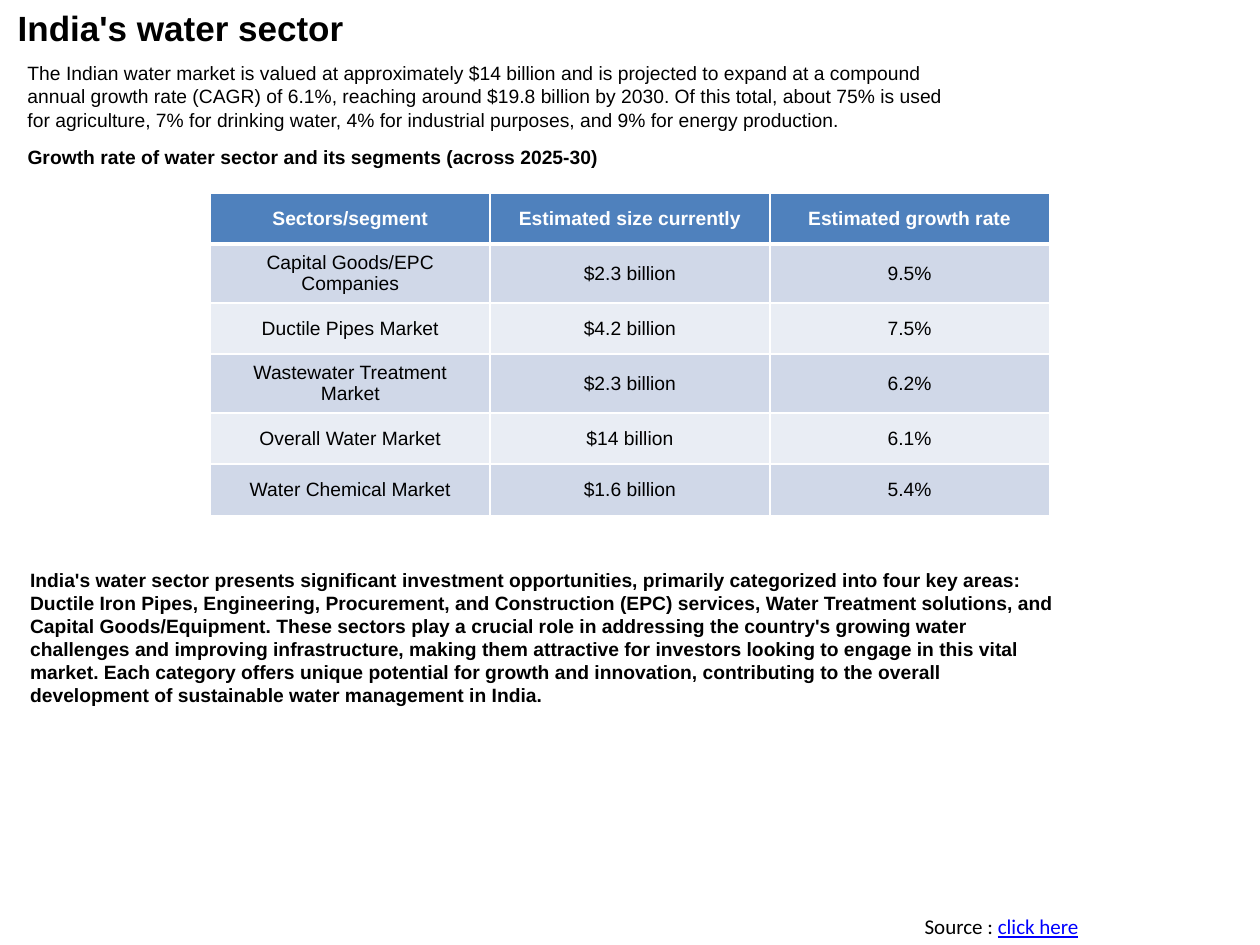
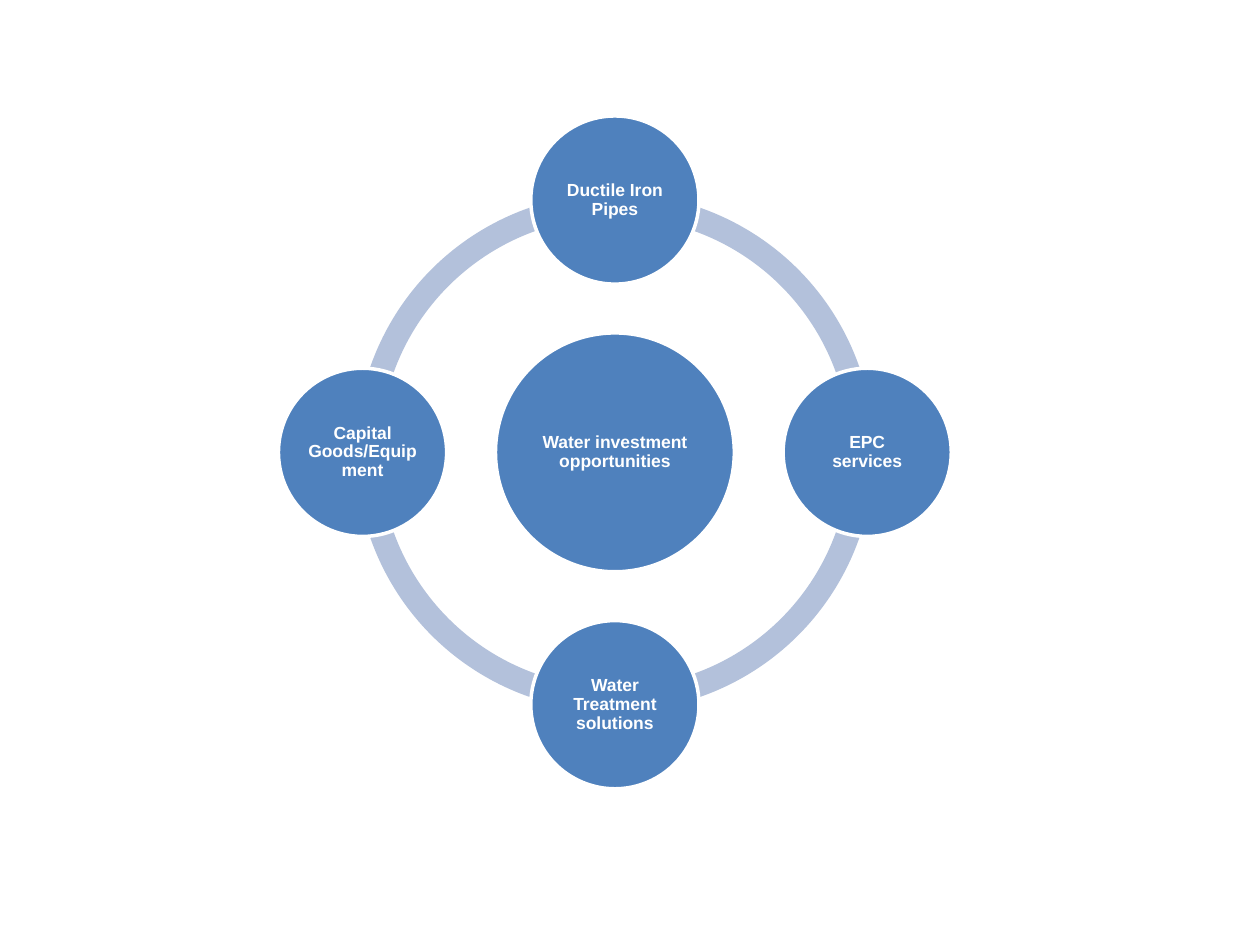
import math
from dataclasses import dataclass
from lxml import etree
from pptx import Presentation
from pptx import util as u
from pptx.dml import color
from pptx.enum import shapes, text
from pptx.oxml import ns

COLUMNS, ROWS = 100, 75
CELL = u.Inches(0.1)


@dataclass(frozen=True)
class Theme:
    ink: str = "000000"
    paper: str = "FFFFFF"
    accent: str = "4F81BD"
    ring: str = "B3C1DB"
    link: str = "0000FF"
    bands: tuple = ("D0D8E8", "E9EDF4")
    face: str = "Arial"
    source_face: str = "Calibri"
    title_size: int = 20
    body_size: int = 11
    source_size: int = 12
    node_size: int = 10


@dataclass(frozen=True)
class Box:
    left: float
    top: float
    width: float
    height: float

    def emu(self):
        return [round(side * CELL) for side in (self.left, self.top, self.width, self.height)]

    def around(self, across, down, size):
        x = self.left + self.width / 2 + across
        y = self.top + self.height / 2 + down
        return Box(x - size / 2, y - size / 2, size, size)


THEME = Theme()
TITLE = "India's water sector"
MARKET = (
    "The Indian water market is valued at approximately $14 billion and is projected to "
    "expand at a compound annual growth rate (CAGR) of 6.1%, reaching around $19.8 billion "
    "by 2030. Of this total, about 75% is used for agriculture, 7% for drinking water, "
    "4% for industrial purposes, and 9% for energy production."
)
GROWTH_HEADING = "Growth rate of water sector and its segments (across 2025-30)"
SEGMENTS = [
    ("Sectors/segment", "Estimated size currently", "Estimated growth rate"),
    ("Capital Goods/EPC Companies", "$2.3 billion", "9.5%"),
    ("Ductile Pipes Market", "$4.2 billion", "7.5%"),
    ("Wastewater Treatment Market", "$2.3 billion", "6.2%"),
    ("Overall Water Market", "$14 billion", "6.1%"),
    ("Water Chemical Market", "$1.6 billion", "5.4%"),
]
OPPORTUNITIES = (
    "India's water sector presents significant investment opportunities, primarily "
    "categorized into four key areas: Ductile Iron Pipes, Engineering, Procurement, and "
    "Construction (EPC) services, Water Treatment solutions, and Capital Goods/Equipment. "
    "These sectors play a crucial role in addressing the country's growing water challenges "
    "and improving infrastructure, making them attractive for investors looking to engage in "
    "this vital market. Each category offers unique potential for growth and innovation, "
    "contributing to the overall development of sustainable water management in India."
)
HUB = "Water investment opportunities"
AREAS = [
    "Ductile Iron Pipes",
    "EPC\nservices",
    "Water Treatment solutions",
    "Capital Goods/Equipment",
]


def apply(target, formats):
    for name, value in formats.items():
        setattr(target, name, value)


def rgb(value):
    return color.RGBColor.from_string(value)


def paint(part, value):
    part.fill.solid()
    part.fill.fore_color.rgb = rgb(value)


def write(paragraph, words, ink=THEME.ink, **formats):
    for index, line in enumerate(words.split("\n")):
        if index:
            paragraph.add_line_break()
        run = paragraph.add_run()
        run.text = line
        apply(run.font, {
            "name": THEME.face, "size": u.Pt(THEME.body_size), "bold": False, **formats,
        })
        run.font.color.rgb = rgb(ink)


def flow(frame):
    apply(frame, {
        "word_wrap": True,
        "auto_size": text.MSO_AUTO_SIZE.SHAPE_TO_FIT_TEXT,
        "vertical_anchor": text.MSO_ANCHOR.TOP,
    })
    paragraph = frame.paragraphs[0]
    paragraph.alignment = text.PP_ALIGN.LEFT
    return paragraph


def place_title(slide, box):
    heading = slide.shapes.title
    apply(heading, dict(zip(("left", "top", "width", "height"), box.emu())))
    write(flow(heading.text_frame), TITLE, size=u.Pt(THEME.title_size), bold=True)


def place_passage(slide, box, words, bold=False):
    passage = slide.shapes.add_textbox(*box.emu())
    write(flow(passage.text_frame), words, bold=bold)


def place_source(slide, box):
    source = flow(slide.shapes.add_textbox(*box.emu()).text_frame)
    style = {"name": THEME.source_face, "size": u.Pt(THEME.source_size)}
    write(source, "Source : ", **style)
    write(source, "click here", ink=THEME.link, underline=True, **style)


def edge(cell, widths):
    properties = cell._tc.get_or_add_tcPr()
    for index, (side, width) in enumerate(widths.items()):
        line = etree.Element(ns.qn(f"a:ln{side}"), w=str(u.Pt(width)))
        fill = etree.SubElement(line, ns.qn("a:solidFill"))
        etree.SubElement(fill, ns.qn("a:srgbClr"), val=THEME.paper)
        properties.insert(index, line)


def place_segments(slide, box):
    frame = slide.shapes.add_table(len(SEGMENTS), len(SEGMENTS[0]), *box.emu())
    for row, segment in enumerate(SEGMENTS):
        header = row == 0
        for column, words in enumerate(segment):
            cell = frame.table.cell(row, column)
            cell.vertical_anchor = text.MSO_ANCHOR.MIDDLE
            paint(cell, THEME.accent if header else THEME.bands[(row - 1) % 2])
            edge(cell, {"L": 1, "R": 1, "T": 3 if row == 1 else 1, "B": 3 if header else 1})
            paragraph = cell.text_frame.paragraphs[0]
            paragraph.alignment = text.PP_ALIGN.CENTER
            write(paragraph, words, ink=THEME.paper if header else THEME.ink, bold=header)


def place_arc(wheel, box, start, thickness):
    arc = wheel.shapes.add_shape(shapes.MSO_SHAPE.BLOCK_ARC, *box.emu())
    arc.shadow.inherit = False
    paint(arc, THEME.ring)
    arc.line.fill.background()
    for index, value in enumerate((start * 0.6, (start + 90) % 360 * 0.6, thickness)):
        arc.adjustments[index] = value


def place_node(wheel, box, words):
    node = wheel.shapes.add_shape(shapes.MSO_SHAPE.OVAL, *box.emu())
    node.shadow.inherit = False
    paint(node, THEME.accent)
    node.line.color.rgb = rgb(THEME.paper)
    node.line.width = u.Pt(2)
    margins = ("margin_left", "margin_top", "margin_right", "margin_bottom")
    apply(node.text_frame, {
        "word_wrap": True,
        "vertical_anchor": text.MSO_ANCHOR.MIDDLE,
        **dict.fromkeys(margins, u.Pt(1)),
    })
    paragraph = node.text_frame.paragraphs[0]
    apply(paragraph, {"alignment": text.PP_ALIGN.CENTER, "line_spacing": 0.9})
    write(paragraph, words, ink=THEME.paper, size=u.Pt(THEME.node_size), bold=True)


def place_wheel(slide, box):
    wheel = slide.shapes.add_group_shape()
    node_size = box.width / 4
    orbit = (box.width - node_size) / 2
    ring = box.around(0, 0, box.width * 0.77)
    step = 360 / len(AREAS)
    for index in range(len(AREAS)):
        place_arc(wheel, ring, index * step, 1.9 / ring.width)
    place_node(wheel, box.around(0, 0, node_size * 1.42), HUB)
    for index, area in enumerate(AREAS):
        angle = math.radians(index * step - 90)
        spot = box.around(orbit * math.cos(angle), orbit * math.sin(angle), node_size)
        place_node(wheel, spot, area)


def build_sector_slide(deck):
    slide = deck.slides.add_slide(deck.slide_layouts.get_by_name("Title Only"))
    place_title(slide, Box(0.4, 0, 40.1, 4.4))
    place_passage(slide, Box(1.2, 4.4, 75.6, 6.6), MARKET)
    place_passage(slide, Box(1.2, 11, 70.1, 2.9), GROWTH_HEADING, bold=True)
    place_segments(slide, Box(16.7, 15.3, 66.6, 24.4))
    place_passage(slide, Box(1.4, 44.6, 83.8, 12.1), OPPORTUNITIES, bold=True)
    place_source(slide, Box(72.4, 72, 27.6, 3))


def build_opportunity_slide(deck):
    slide = deck.slides.add_slide(deck.slide_layouts.get_by_name("Blank"))
    place_wheel(slide, Box(22.1, 9.2, 53.4, 53.4))


def main():
    deck = Presentation()
    apply(deck, {"slide_width": COLUMNS * CELL, "slide_height": ROWS * CELL})
    build_sector_slide(deck)
    build_opportunity_slide(deck)
    deck.save("out.pptx")


if __name__ == "__main__":
    main()
